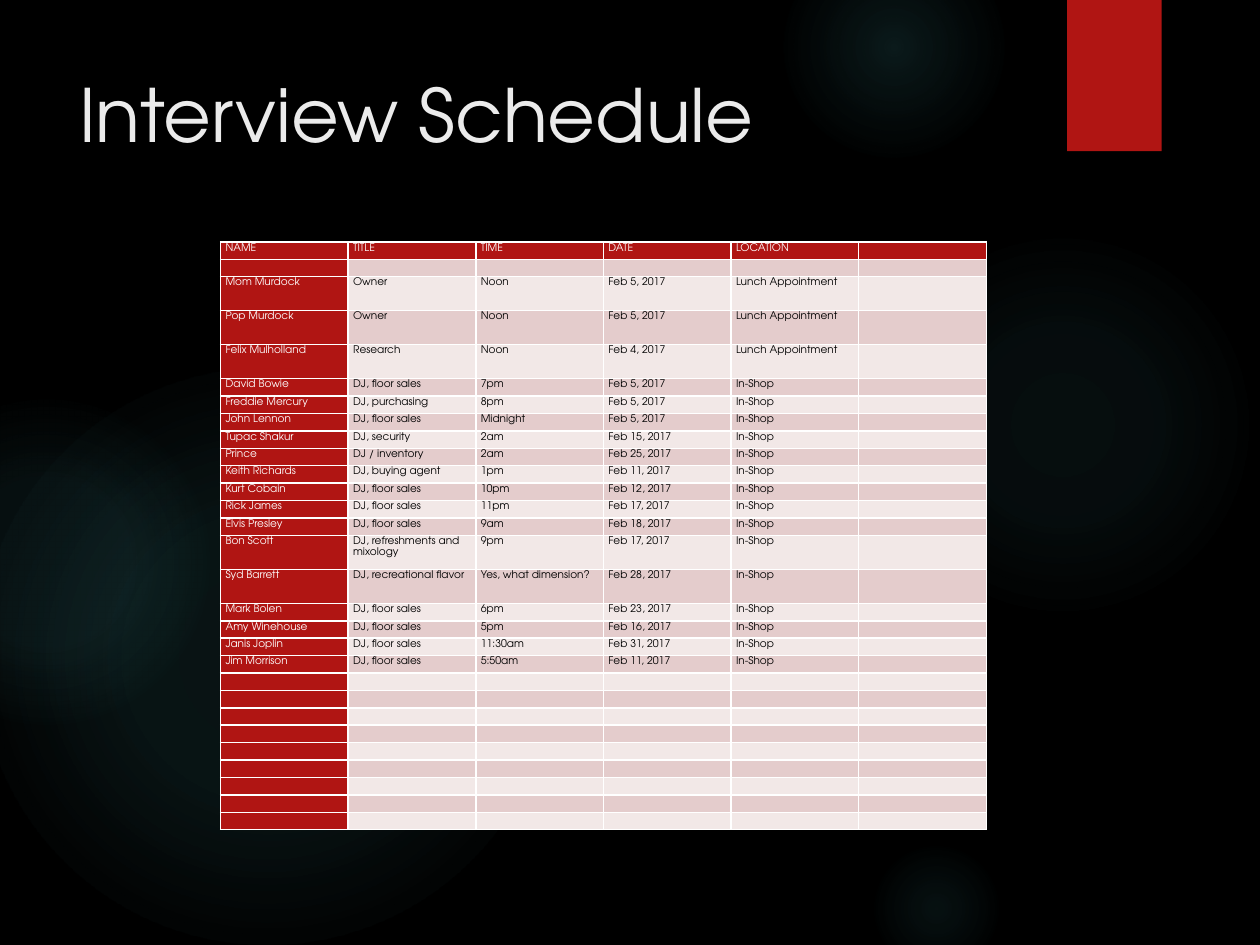
from dataclasses import dataclass

import pptx
import pptx.dml.color
import pptx.enum.shapes
import pptx.enum.text
import pptx.oxml
import pptx.oxml.ns
import pptx.util
from pptx.util import Inches


@dataclass(frozen=True)
class Theme:
    font: str = "TeX Gyre Adventor"
    title_size: int = 42
    cell_size: int = 6
    line_spacing: float = 1.15
    border_width: int = 1
    background: str = "000000"
    title: str = "EBEBEB"
    accent: str = "B01513"
    glow: str = "50B9C1"
    on_accent: str = "FFFFFF"
    on_band: str = "000000"
    border: str = "FFFFFF"
    bands: tuple = ("F2E8E7", "E4CCCC")


THEME = Theme()

# left, top, diameter, then (position, opacity) stops in percent
GLOWS = [
    (6.89, 1.83, 3.08, [(0, 7), (36, 6), (69, 0)]),
    (6.22, -0.5, 1.75, [(0, 14), (36, 7), (73, 0)]),
    (6.89, 6.67, 1.08, [(0, 9), (36, 5), (66, 0)]),
    (-0.17, 2.92, 4.58, [(0, 11), (36, 10), (75, 0)]),
    (-0.92, 3.17, 2.58, [(0, 8), (36, 8), (72, 0)]),
]

HEADINGS = ("NAME", "TITLE", "TIME", "DATE", "LOCATION")
LUNCH, SHOP, FLOOR = "Lunch Appointment", "In-Shop", "DJ, floor sales"
INTERVIEWS = [
    ("Mom Murdock", "Owner", "Noon", "Feb 5, 2017", LUNCH),
    ("Pop Murdock", "Owner", "Noon", "Feb 5, 2017", LUNCH),
    ("Felix Mulholland", "Research", "Noon", "Feb 4, 2017", LUNCH),
    ("David Bowie", FLOOR, "7pm", "Feb 5, 2017", SHOP),
    ("Freddie Mercury", "DJ, purchasing", "8pm", "Feb 5, 2017", SHOP),
    ("John Lennon", FLOOR, "Midnight", "Feb 5, 2017", SHOP),
    ("Tupac Shakur", "DJ, security", "2am", "Feb 15, 2017", SHOP),
    ("Prince", "DJ / inventory", "2am", "Feb 25, 2017", SHOP),
    ("Keith Richards", "DJ, buying agent", "1pm", "Feb 11, 2017", SHOP),
    ("Kurt Cobain", FLOOR, "10pm", "Feb 12, 2017", SHOP),
    ("Rick James", FLOOR, "11pm", "Feb 17, 2017", SHOP),
    ("Elvis Presley", FLOOR, "9am", "Feb 18, 2017", SHOP),
    ("Bon Scott", "DJ, refreshments and mixology", "9pm", "Feb 17, 2017", SHOP),
    ("Syd Barrett", "DJ, recreational flavor", "Yes, what dimension?", "Feb 28, 2017", SHOP),
    ("Mark Bolen", FLOOR, "6pm", "Feb 23, 2017", SHOP),
    ("Amy Winehouse", FLOOR, "5pm", "Feb 16, 2017", SHOP),
    ("Janis Joplin", FLOOR, "11:30am", "Feb 31, 2017", SHOP),
    ("Jim Morrison", FLOOR, "5:50am", "Feb 11, 2017", SHOP),
]
SPARE_ROWS = 9
SCHEDULE = [HEADINGS, ()] + INTERVIEWS + [()] * SPARE_ROWS
TALL_ROWS = {2, 3, 4, 14, 15}
COLUMNS = 6
TABLE_WIDTH, TABLE_HEIGHT, TALL_HEIGHT = 6.08, 4.67, 0.27


def rgb(value):
    return pptx.dml.color.RGBColor.from_string(value)


def drawing_xml(tag, attributes="", content=""):
    return pptx.oxml.parse_xml(
        f'<a:{tag} {pptx.oxml.ns.nsdecls("a")} {attributes}>{content}</a:{tag}>')


def add_run(paragraph, text, size, color):
    run = paragraph.add_run()
    run.text = text
    run.font.name = THEME.font
    run.font.size = pptx.util.Pt(size)
    run.font.color.rgb = rgb(color)


def add_plain_shape(slide, kind, left, top, width, height):
    shape = slide.shapes.add_shape(
        kind, Inches(left), Inches(top), Inches(width), Inches(height))
    shape.shadow.inherit = False
    shape.line.fill.background()
    return shape


def add_glow(slide, left, top, diameter, stops):
    """Add a circle that fades out from its centre."""
    glow = add_plain_shape(slide, pptx.enum.shapes.MSO_SHAPE.OVAL,
                           left, top, diameter, diameter)
    stop_list = "".join(
        f'<a:gs pos="{position * 1000}"><a:srgbClr val="{THEME.glow}">'
        f'<a:alpha val="{opacity * 1000}"/></a:srgbClr></a:gs>'
        for position, opacity in stops)
    centre = '<a:fillToRect l="50000" t="50000" r="50000" b="50000"/>'
    gradient = drawing_xml(
        "gradFill", 'rotWithShape="1"',
        f'<a:gsLst>{stop_list}</a:gsLst><a:path path="circle">{centre}</a:path>')
    glow.element.spPr.find(pptx.oxml.ns.qn("a:prstGeom")).addnext(gradient)


def add_ribbon(slide):
    ribbon = add_plain_shape(slide, pptx.enum.shapes.MSO_SHAPE.RECTANGLE,
                             8.47, 0, 0.75, 1.2)
    ribbon.fill.solid()
    ribbon.fill.fore_color.rgb = rgb(THEME.accent)


def add_title(slide, text):
    frame = slide.shapes.add_textbox(
        Inches(0.53), Inches(0.5), Inches(7.72), Inches(1.53)).text_frame
    frame.word_wrap = True
    frame.vertical_anchor = pptx.enum.text.MSO_ANCHOR.TOP
    add_run(frame.paragraphs[0], text, THEME.title_size, THEME.title)


def style_cell(cell, fill):
    cell.margin_left = cell.margin_right = Inches(0.04)
    cell.margin_top = cell.margin_bottom = 0
    properties = cell._tc.get_or_add_tcPr()
    for side in ("lnL", "lnR", "lnT", "lnB"):
        properties.append(drawing_xml(
            side, f'w="{pptx.util.Pt(THEME.border_width)}"',
            f'<a:solidFill><a:srgbClr val="{THEME.border}"/></a:solidFill>'))
    cell.fill.solid()
    cell.fill.fore_color.rgb = rgb(fill)


def fill_cell(cell, text, color):
    """Write the text, or keep an empty cell as low as a written one."""
    paragraph = cell.text_frame.paragraphs[0]
    if text:
        paragraph.line_spacing = THEME.line_spacing
        add_run(paragraph, text, THEME.cell_size, color)
    else:
        paragraph._p.append(
            drawing_xml("endParaRPr", f'sz="{THEME.cell_size * 100}"'))


def add_schedule(slide):
    table = slide.shapes.add_table(
        len(SCHEDULE), COLUMNS, Inches(1.75), Inches(1.92),
        Inches(TABLE_WIDTH), Inches(TABLE_HEIGHT)).table
    table.first_col = True
    for column in table.columns:
        column.width = Inches(TABLE_WIDTH / COLUMNS)
    short_height = ((TABLE_HEIGHT - len(TALL_ROWS) * TALL_HEIGHT)
                    / (len(SCHEDULE) - len(TALL_ROWS)))
    for row, entry in enumerate(SCHEDULE):
        table.rows[row].height = Inches(
            TALL_HEIGHT if row in TALL_ROWS else short_height)
        for column in range(COLUMNS):
            is_heading = row == 0 or column == 0
            cell = table.cell(row, column)
            style_cell(cell, THEME.accent if is_heading else THEME.bands[row % 2])
            fill_cell(cell, entry[column] if column < len(entry) else "",
                      THEME.on_accent if is_heading else THEME.on_band)


def main():
    presentation = pptx.Presentation()
    presentation.slide_width = Inches(10)
    presentation.slide_height = Inches(7.5)
    slide = presentation.slides.add_slide(presentation.slide_layouts[6])
    slide.background.fill.solid()
    slide.background.fill.fore_color.rgb = rgb(THEME.background)
    for glow in GLOWS:
        add_glow(slide, *glow)
    add_ribbon(slide)
    add_title(slide, "Interview Schedule")
    add_schedule(slide)
    presentation.save("out.pptx")


if __name__ == "__main__":
    main()
